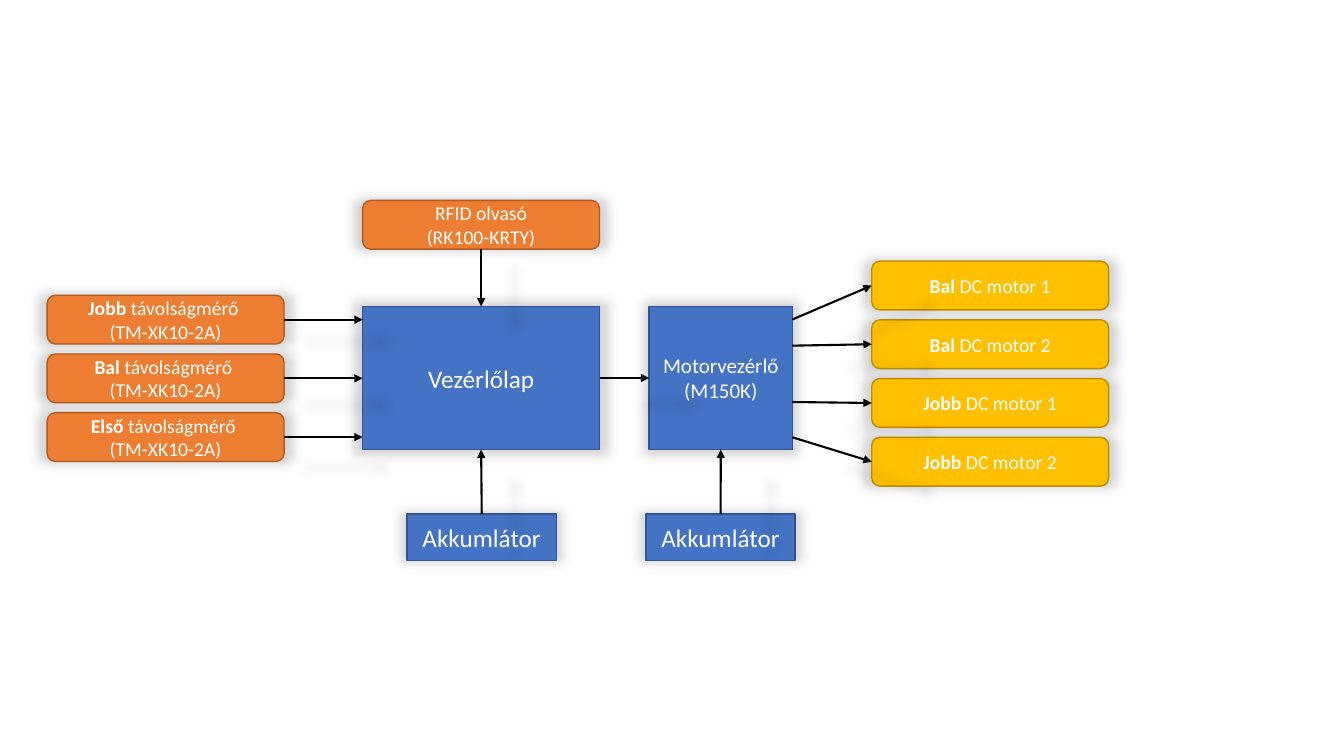
from dataclasses import dataclass

from lxml.etree import SubElement
from pptx import Presentation
from pptx.dml.color import RGBColor
from pptx.enum.shapes import MSO_CONNECTOR, MSO_SHAPE
from pptx.enum.text import MSO_ANCHOR, PP_ALIGN
from pptx.oxml.ns import qn
from pptx.util import Cm, Pt


@dataclass(frozen=True)
class Theme:
    font: str = "Calibri"
    text: str = "FFFFFF"
    arrow: str = "000000"
    control: tuple = ("4472C4", "325491")  # fill, outline
    sensor: tuple = ("ED7D31", "AF5C24")
    motor: tuple = ("FFC000", "BD8E00")
    large: int = 18
    medium: int = 15
    small: int = 14


THEME = Theme()
TOP, LEFT, BOTTOM, RIGHT = range(4)  # connection sites of a rectangle

# Sizes and places in centimetres
PILL_WIDTH, PILL_HEIGHT, PILL_STEP = 5.97, 1.23, 1.48
BATTERY_WIDTH, BATTERY_HEIGHT, BATTERY_TOP = 3.76, 1.17, 12.95
CONTROL_TOP, CONTROL_HEIGHT = 7.72, 3.61
BOARD_LEFT, DRIVER_LEFT = 9.14, 16.36
SENSOR_LEFT, SENSOR_TOP = 1.19, 7.44
MOTOR_LEFT, MOTOR_TOP = 21.97, 6.58

SENSORS = ["Jobb", "Bal", "Első"]
MOTORS = [("Bal ", "DC motor 1"), ("Bal ", "DC motor 2"),
          ("Jobb ", "DC motor 1"), ("Jobb ", "DC motor 2")]
MOTOR_ARROW_STARTS = [8.05, 8.71, 10.13, 11.02]


def set_attributes(target, values):
    for name, value in values.items():
        setattr(target, name, value)


def add_glow_shadow(shape):
    """Soft, centred shadow without offset."""
    properties = shape._element.spPr
    for old in properties.findall(qn("a:effectLst")):
        properties.remove(old)
    effects = SubElement(properties, qn("a:effectLst"))
    shadow = SubElement(effects, qn("a:outerShdw"), blurRad=str(Pt(8)), dist="0",
                        sx="107000", sy="107000", algn="ctr", rotWithShape="0")
    color = SubElement(shadow, qn("a:srgbClr"), val="000000")
    SubElement(color, qn("a:alpha"), val="16000")


def add_run(paragraph, text, size, bold):
    run = paragraph.add_run()
    run.text = text
    set_attributes(run.font, {"name": THEME.font, "size": Pt(size), "bold": bold})
    run.font.color.rgb = RGBColor.from_string(THEME.text)


def write_text(frame, paragraphs, size):
    """Each paragraph is a list of (text, bold); a newline is a line break."""
    set_attributes(frame, {"word_wrap": True, "vertical_anchor": MSO_ANCHOR.MIDDLE})
    for index, runs in enumerate(paragraphs):
        paragraph = frame.add_paragraph() if index else frame.paragraphs[0]
        paragraph.alignment = PP_ALIGN.CENTER
        for text, bold in runs:
            for number, line in enumerate(text.split("\n")):
                if number:
                    paragraph.add_line_break()
                add_run(paragraph, line, size, bold)


def add_box(slide, kind, place, colors, paragraphs, size):
    shape = slide.shapes.add_shape(kind, *(Cm(length) for length in place))
    fill, outline = colors
    shape.fill.solid()
    shape.fill.fore_color.rgb = RGBColor.from_string(fill)
    shape.line.color.rgb = RGBColor.from_string(outline)
    shape.line.width = Pt(1)
    add_glow_shadow(shape)
    write_text(shape.text_frame, paragraphs, size)
    return shape


def add_pill(slide, left, top, colors, paragraphs):
    place = (left, top, PILL_WIDTH, PILL_HEIGHT)
    return add_box(slide, MSO_SHAPE.ROUNDED_RECTANGLE, place, colors, paragraphs, THEME.small)


def add_battery(slide, left):
    place = (left, BATTERY_TOP, BATTERY_WIDTH, BATTERY_HEIGHT)
    return add_box(slide, MSO_SHAPE.FLOWCHART_PROCESS, place, THEME.control,
                   [[("Akkumlátor", False)]], THEME.large)


def site_point(shape, site):
    middle_x, middle_y = shape.left + shape.width // 2, shape.top + shape.height // 2
    return {TOP: (middle_x, shape.top), LEFT: (shape.left, middle_y),
            BOTTOM: (middle_x, shape.top + shape.height),
            RIGHT: (shape.left + shape.width, middle_y)}[site]


def add_arrow(slide, start, end):
    connector = slide.shapes.add_connector(MSO_CONNECTOR.STRAIGHT, *start, *end)
    connector.line.color.rgb = RGBColor.from_string(THEME.arrow)
    connector.line.width = Pt(1.5)
    SubElement(connector.line._get_or_add_ln(), qn("a:tailEnd"), type="triangle")
    add_glow_shadow(connector)


def main():
    presentation = Presentation()
    set_attributes(presentation, {"slide_width": Cm(33.87), "slide_height": Cm(19.05)})
    slide = presentation.slides.add_slide(presentation.slide_layouts[6])

    # Control units
    board = add_box(slide, MSO_SHAPE.RECTANGLE,
                    (BOARD_LEFT, CONTROL_TOP, PILL_WIDTH, CONTROL_HEIGHT),
                    THEME.control, [[("Vezérlőlap", False)]], THEME.large)
    driver = add_box(slide, MSO_SHAPE.RECTANGLE,
                     (DRIVER_LEFT, CONTROL_TOP, CONTROL_HEIGHT, CONTROL_HEIGHT),
                     THEME.control, [[("Motorvezérlő", False)], [("(M150K)", False)]],
                     THEME.medium)

    # Sensors, batteries, card reader and motors
    sensors = [add_pill(slide, SENSOR_LEFT, SENSOR_TOP + row * PILL_STEP, THEME.sensor,
                        [[(side, True), (" távolságmérő ", False)], [("(TM-XK10-2A)", False)]])
               for row, side in enumerate(SENSORS)]
    batteries = [add_battery(slide, left) for left in (10.26, 16.28)]
    reader = add_pill(slide, BOARD_LEFT, 5.05, THEME.sensor,
                      [[("RFID olvasó\n(RK100-KRTY)", False)]])
    motors = [add_pill(slide, MOTOR_LEFT, MOTOR_TOP + row * PILL_STEP, THEME.motor,
                       [[(side, True), (name, False)]])
              for row, (side, name) in enumerate(MOTORS)]

    # Arrows into and between the control units
    for sensor in sensors:
        start = site_point(sensor, RIGHT)
        add_arrow(slide, start, (board.left, start[1]))
    add_arrow(slide, site_point(reader, BOTTOM), site_point(board, TOP))
    add_arrow(slide, site_point(board, RIGHT), site_point(driver, LEFT))
    for battery, unit in zip(batteries, (board, driver)):
        add_arrow(slide, site_point(battery, TOP), site_point(unit, BOTTOM))

    # Arrows to the motors
    for motor, height in zip(motors, MOTOR_ARROW_STARTS):
        add_arrow(slide, (driver.left + driver.width, Cm(height)), site_point(motor, LEFT))

    presentation.save("out.pptx")


if __name__ == "__main__":
    main()
